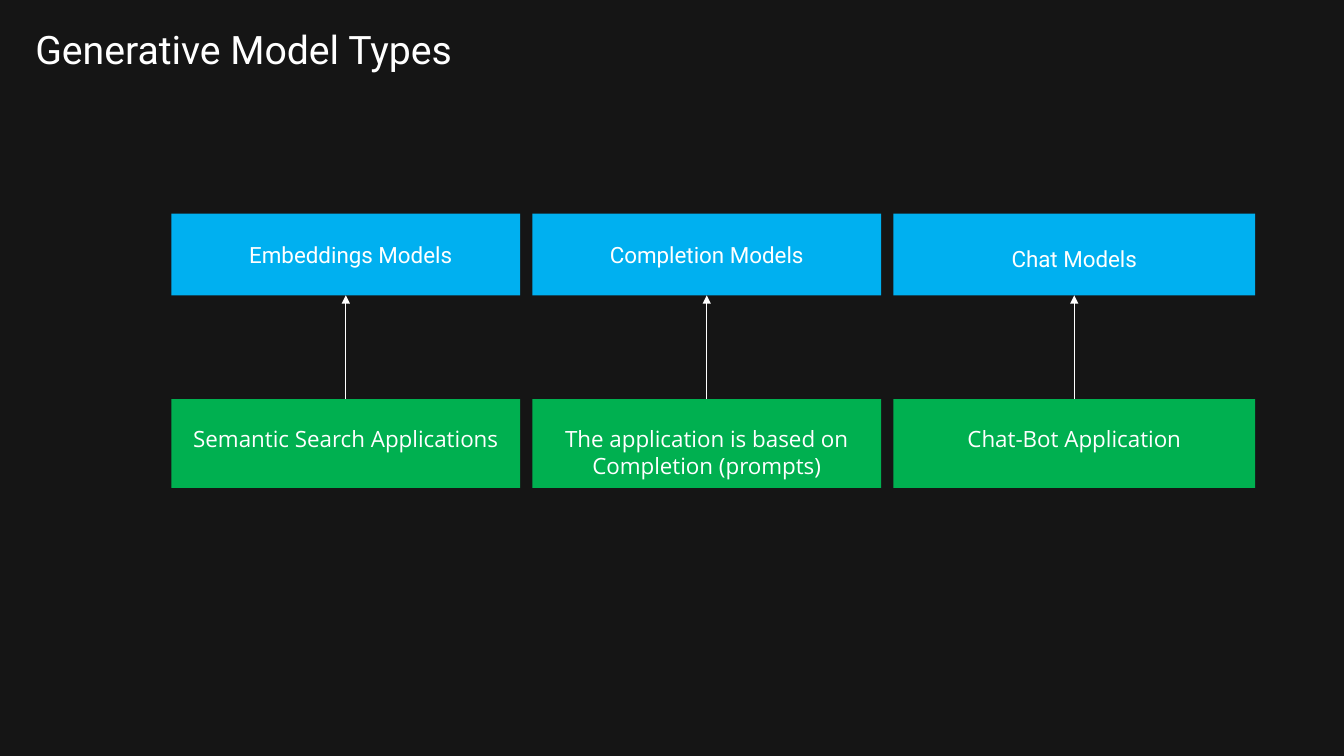
from dataclasses import dataclass

from lxml import etree
from pptx import Presentation
from pptx.dml.color import RGBColor
from pptx.enum.shapes import MSO_CONNECTOR, MSO_SHAPE
from pptx.enum.text import MSO_ANCHOR, PP_ALIGN
from pptx.oxml.ns import qn
from pptx.slide import Slide
from pptx.text.text import TextFrame
from pptx.util import Inches, Pt

RECTANGLE = MSO_SHAPE.RECTANGLE
STRAIGHT = MSO_CONNECTOR.STRAIGHT
TOP, MIDDLE = MSO_ANCHOR.TOP, MSO_ANCHOR.MIDDLE
LEFT, CENTER = PP_ALIGN.LEFT, PP_ALIGN.CENTER


@dataclass(frozen=True)
class Theme:
    background: RGBColor = RGBColor(0x15, 0x15, 0x15)
    text: RGBColor = RGBColor(0xFF, 0xFF, 0xFF)
    model: RGBColor = RGBColor(0x00, 0xB0, 0xF0)
    application: RGBColor = RGBColor(0x00, 0xB0, 0x50)
    heading_font: str = "Roboto"
    body_font: str = "Open Sans"
    title_size: int = 28
    label_size: int = 16
    label_leading: int = 19
    arrow_width: float = 0.75


@dataclass(frozen=True)
class Box:
    left: float
    top: float
    width: float
    height: float


@dataclass(frozen=True)
class Label:
    text: str
    font: str
    size: int
    align: PP_ALIGN = CENTER
    anchor: MSO_ANCHOR = MIDDLE
    inset_left: float = 0
    inset_top: float = 0
    leading: int | None = None


@dataclass(frozen=True)
class ModelType:
    model: str
    application: str
    width: float
    inset_left: float = 0
    inset_top: float = 0


THEME = Theme()
TITLE_BOX = Box(0.26, 0.25, 11.15, 0.47)
FIRST_LEFT, COLUMN_GAP = 1.7, 0.12
MODEL_TOP, MODEL_HEIGHT = 2.12, 0.81
APPLICATION_TOP, APPLICATION_HEIGHT = 3.96, 0.88
APPLICATION_INSET = 0.26

MODEL_TYPES = [
    ModelType("Embeddings Models", "Semantic Search Applications", 3.46, inset_left=0.1),
    ModelType("Completion Models", "The application is based on Completion (prompts)", 3.46),
    ModelType("Chat Models", "Chat-Bot Application", 3.59, inset_top=0.07),
]


def write_label(frame: TextFrame, label: Label) -> None:
    frame.word_wrap = True
    frame.vertical_anchor = label.anchor
    frame.margin_left, frame.margin_top = Inches(label.inset_left), Inches(label.inset_top)
    frame.margin_right = frame.margin_bottom = 0
    frame.text = label.text
    paragraph = frame.paragraphs[0]
    paragraph.alignment = label.align
    if label.leading:
        paragraph.line_spacing = Pt(label.leading)
    font = paragraph.runs[0].font
    font.name, font.size = label.font, Pt(label.size)
    font.color.rgb = THEME.text


def add_title(slide: Slide, box: Box, label: Label) -> None:
    title = slide.shapes.add_textbox(
        Inches(box.left), Inches(box.top), Inches(box.width), Inches(box.height)
    )
    write_label(title.text_frame, label)


def add_block(slide: Slide, box: Box, fill: RGBColor, label: Label) -> None:
    block = slide.shapes.add_shape(
        RECTANGLE, Inches(box.left), Inches(box.top), Inches(box.width), Inches(box.height)
    )
    block.shadow.inherit = False
    block.fill.solid()
    block.fill.fore_color.rgb = fill
    block.line.fill.background()
    write_label(block.text_frame, label)


def add_arrow(slide: Slide, x: float, start: float, end: float) -> None:
    arrow = slide.shapes.add_connector(
        STRAIGHT, Inches(x), Inches(start), Inches(x), Inches(end)
    )
    arrow.line.color.rgb = THEME.text
    arrow.line.width = Pt(THEME.arrow_width)
    etree.SubElement(arrow.line._get_or_add_ln(), qn("a:tailEnd"), type="triangle")
    etree.SubElement(arrow._element.spPr, qn("a:effectLst"))


def add_model_type(slide: Slide, left: float, entry: ModelType) -> None:
    add_block(
        slide,
        Box(left, MODEL_TOP, entry.width, MODEL_HEIGHT),
        THEME.model,
        Label(entry.model, THEME.heading_font, THEME.label_size,
              inset_left=entry.inset_left, inset_top=entry.inset_top),
    )
    add_block(
        slide,
        Box(left, APPLICATION_TOP, entry.width, APPLICATION_HEIGHT),
        THEME.application,
        Label(entry.application, THEME.body_font, THEME.label_size, anchor=TOP,
              inset_top=APPLICATION_INSET, leading=THEME.label_leading),
    )
    add_arrow(slide, left + entry.width / 2, APPLICATION_TOP, MODEL_TOP + MODEL_HEIGHT)


def main() -> None:
    presentation = Presentation()
    presentation.slide_width, presentation.slide_height = Inches(13.33), Inches(7.5)
    slide = presentation.slides.add_slide(presentation.slide_layouts[6])
    slide.background.fill.solid()
    slide.background.fill.fore_color.rgb = THEME.background

    add_title(
        slide,
        TITLE_BOX,
        Label("Generative Model Types", THEME.heading_font, THEME.title_size,
              align=LEFT, anchor=TOP, inset_left=0.09),
    )
    left = FIRST_LEFT
    for entry in MODEL_TYPES:
        add_model_type(slide, left, entry)
        left += entry.width + COLUMN_GAP

    presentation.save("out.pptx")


if __name__ == "__main__":
    main()
